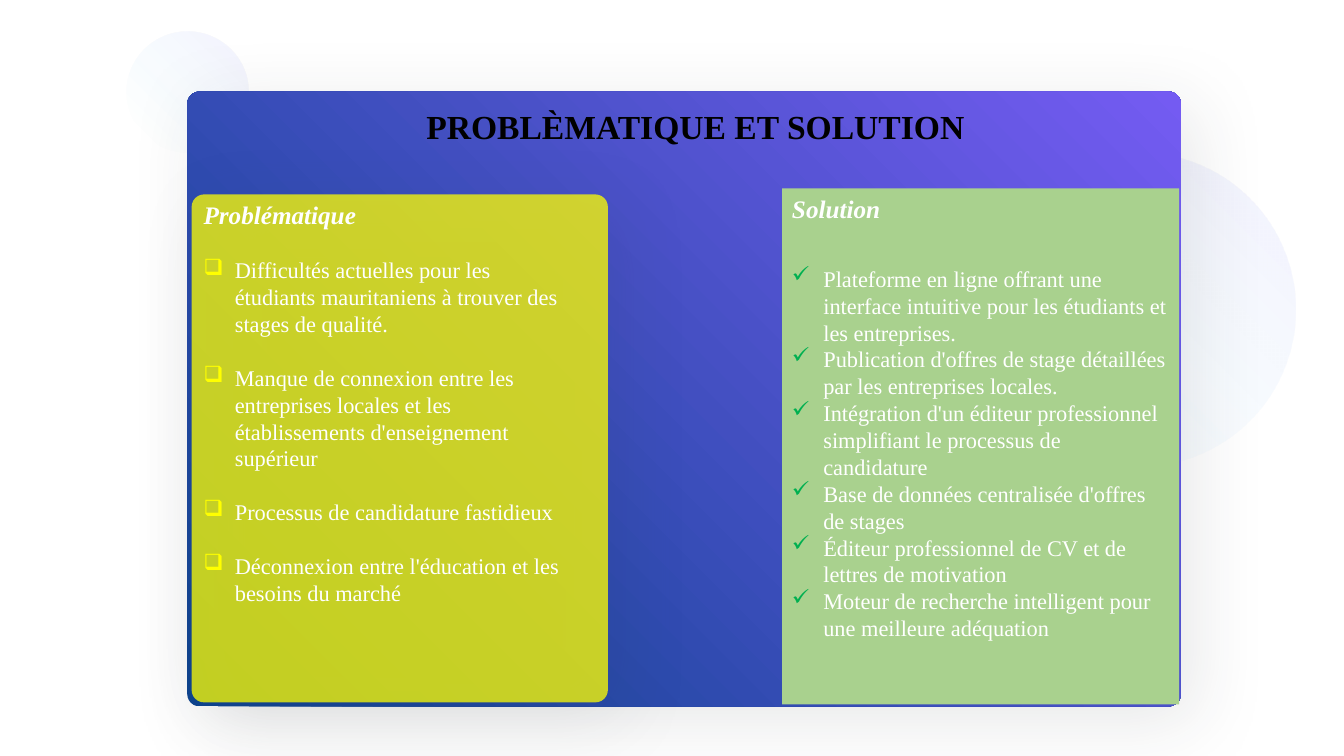
from lxml.etree import SubElement
from pptx import Presentation
from pptx.dml.color import RGBColor
from pptx.enum.shapes import MSO_SHAPE
from pptx.enum.text import MSO_ANCHOR, PP_ALIGN
from pptx.oxml.ns import qn
from pptx.util import Cm, Pt

WHITE = RGBColor(0xFF, 0xFF, 0xFF)
BLACK = RGBColor(0, 0, 0)
CYAN = RGBColor(0x00, 0xB3, 0xFF)
VIOLET = RGBColor(0x7B, 0x65, 0xE8)
NAVY = RGBColor(0x0D, 0x43, 0x8D)
PURPLE = RGBColor(0x74, 0x5B, 0xF2)
YELLOW = RGBColor(0xFF, 0xFF, 0x00)
SAGE = RGBColor(0xA9, 0xD1, 0x8E)
GREEN = RGBColor(0x00, 0xB0, 0x50)
SHADE = RGBColor(0x2C, 0x31, 0x38)
FONT = "Times New Roman"

ISSUES = [
    "Difficultés actuelles pour les étudiants mauritaniens à trouver des stages de qualité.",
    "Manque de connexion entre les entreprises locales et les établissements d'enseignement supérieur",
    "Processus de candidature fastidieux",
    "Déconnexion entre l'éducation et les besoins du marché",
]
ANSWERS = [
    "Plateforme en ligne offrant une interface intuitive pour les étudiants et les entreprises.",
    "Publication d'offres de stage détaillées par les entreprises locales.",
    "Intégration d'un éditeur professionnel simplifiant le processus de candidature",
    "Base de données centralisée d'offres de stages",
    "Éditeur professionnel de CV et de lettres de motivation",
    "Moteur de recherche intelligent pour une meilleure adéquation",
]


def add_plain(shapes, kind, box):
    shape = shapes.add_shape(kind, *map(Cm, box))
    shape.line.fill.background()
    shape.shadow.inherit = False
    return shape


def add_run(par, text, size, color, bold=False, italic=False):
    run = par.add_run()
    run.text = text
    font = run.font
    font.name, font.size, font.bold, font.italic = FONT, Pt(size), bold, italic
    font.color.rgb = color


deck = Presentation()
deck.slide_width, deck.slide_height = Cm(33.87), Cm(19.05)
slide = deck.slides.add_slide(deck.slide_layouts[5])
shapes = slide.shapes

# Background circles, gradient card and yellow panel
group = shapes.add_group_shape()
small = add_plain(group.shapes, MSO_SHAPE.OVAL, (3.2, 0.79, 3.05, 3.05))
large = add_plain(group.shapes, MSO_SHAPE.OVAL, (24.74, 3.84, 7.92, 7.92))
card = add_plain(shapes, MSO_SHAPE.ROUNDED_RECTANGLE, (4.72, 2.31, 25.04, 15.49))
panel = add_plain(shapes, MSO_SHAPE.ROUNDED_RECTANGLE, (4.83, 4.9, 10.49, 12.8))
card.adjustments[0] = 0.02
panel.adjustments[0] = 0.03

faint = [(0.14, CYAN, 0), (1, VIOLET, 8)]
solid = [(0, NAVY, 100), (1, PURPLE, 100)]
for shape, stops in ((small, faint), (large, faint), (card, solid)):
    shape.fill.gradient()
    shape.fill.gradient_angle = 45
    for stop, (place, color, alpha) in zip(shape.fill.gradient_stops, stops):
        stop.position = place
        stop.color.rgb = color
    tones = shape._element.spPr.iter(qn("a:srgbClr"))
    for tone, (place, color, alpha) in zip(tones, stops):
        SubElement(tone, qn("a:alpha"), val=str(alpha * 1000))

panel.fill.solid()
panel.fill.fore_color.rgb = YELLOW
tone = panel._element.spPr.find(".//" + qn("a:srgbClr"))
SubElement(tone, qn("a:alpha"), val="75000")

for shape in (card, panel):
    effects = shape._element.spPr.find(qn("a:effectLst"))
    shadow = SubElement(effects, qn("a:outerShdw"), blurRad=str(Pt(55)),
                        dist=str(Pt(15)), dir="2700000", algn="tl", rotWithShape="0")
    tone = SubElement(shadow, qn("a:srgbClr"), val=str(SHADE))
    SubElement(tone, qn("a:alpha"), val="11000")

# Title, brought in front of the card
title = shapes.title
shapes._spTree.append(title._element)
title.left, title.top, title.width, title.height = map(Cm, (10.49, 2.54, 14.45, 2.06))
title.text_frame.vertical_anchor = MSO_ANCHOR.TOP
par = title.text_frame.paragraphs[0]
par.alignment = PP_ALIGN.JUSTIFY
add_run(par, "PROBLЀMATIQUE ET SOLUTION", 24, BLACK, bold=True)

# Two lists: gap before the first item, then between items
left = shapes.add_textbox(*map(Cm, (4.88, 4.9, 9.55, 13.16)))
right = add_plain(shapes, MSO_SHAPE.RECTANGLE, (19.71, 4.75, 10.01, 13))
right.fill.solid()
right.fill.fore_color.rgb = SAGE

for shape, head, items, mark, color, first, gap in (
    (left, "Problématique", ISSUES, "❑", YELLOW, 19.2, 19.2),
    (right, "Solution", ANSWERS, "✓", GREEN, 29.5, 0),
):
    frame = shape.text_frame
    frame.word_wrap = True
    frame.vertical_anchor = MSO_ANCHOR.TOP
    par = frame.paragraphs[0]
    par.alignment = PP_ALIGN.LEFT
    add_run(par, head, 18, WHITE, bold=True, italic=True)
    for i, item in enumerate(items):
        par = frame.add_paragraph()
        par.alignment = PP_ALIGN.LEFT
        par.line_spacing = Pt(19.2)
        par.space_before = Pt(gap if i else first)
        props = par._p.get_or_add_pPr()
        props.set("marL", str(Cm(0.79)))
        props.set("indent", str(-Cm(0.79)))
        tint = SubElement(props, qn("a:buClr"))
        SubElement(tint, qn("a:srgbClr"), val=str(color))
        SubElement(props, qn("a:buChar"), char=mark)
        add_run(par, item, 16, WHITE, italic=False)

deck.save("out.pptx")
